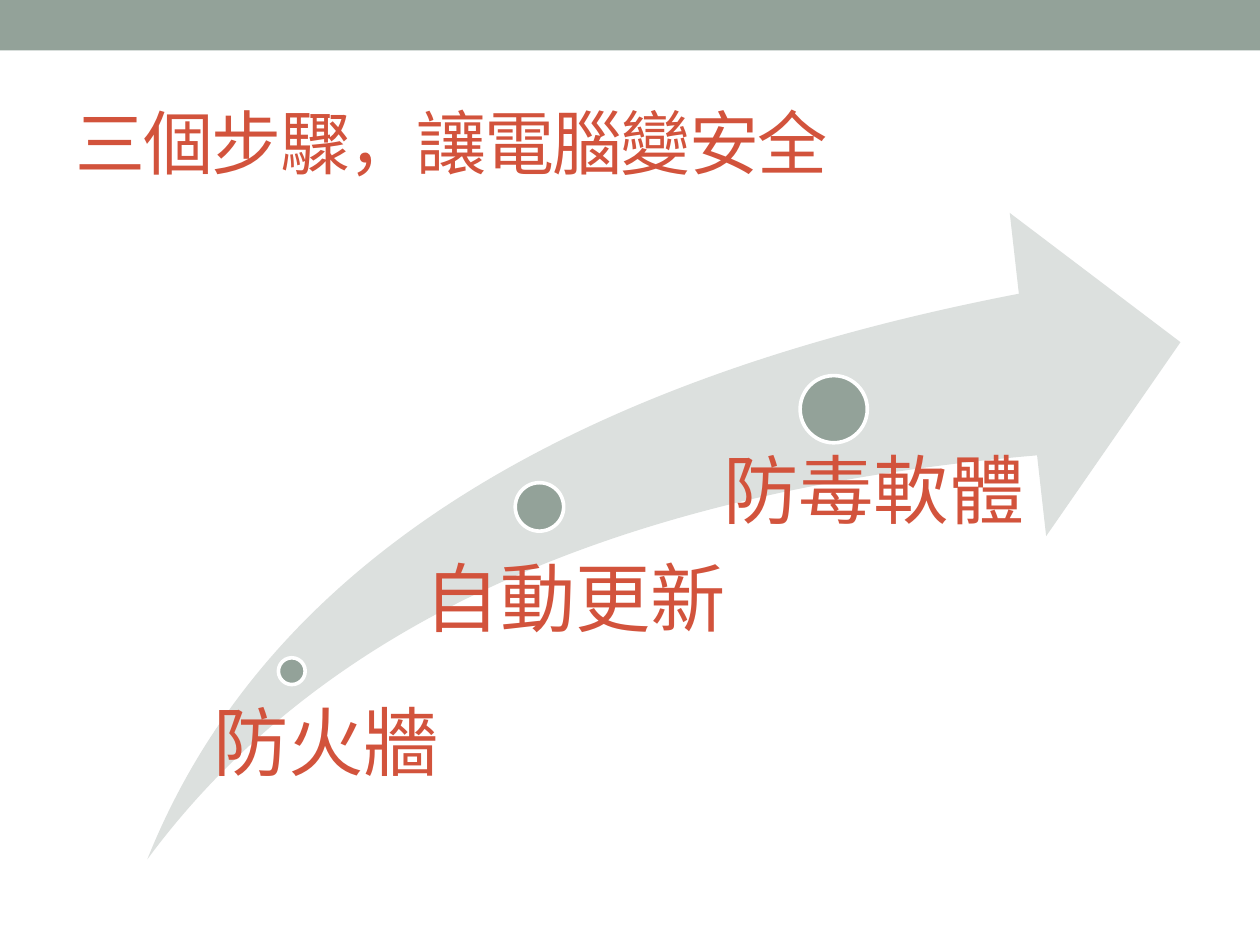
from pptx import Presentation
from pptx.dml.color import RGBColor
from pptx.enum.shapes import MSO_SHAPE as Shape
from pptx.enum.text import MSO_ANCHOR as Anchor, MSO_AUTO_SIZE as AutoSize, PP_ALIGN as Align
from pptx.util import Pt

SAGE, PALE, RED, WHITE = "93A299", "DCE0DE", "D2533C", "FFFFFF"
FONT = "Arial"
STEPS = [
    ("防火牆", (74.9, 254.2, 15.3), (29.5, 281.5, 137.5, 82.8)),
    ("自動更新", (210.2, 154.1, 27.7), (144, 199.4, 189.4, 123.1)),
    ("防毒軟體", (373, 92.9, 38.4), (308.9, 137.5, 249.1, 100.8)),
]


def color(value):
    return RGBColor.from_string(value)


def add_shape(shapes, kind, box, fill, outline=None):
    shape = shapes.add_shape(kind, *map(Pt, box))
    shape.shadow.inherit = False
    shape.fill.solid()
    shape.fill.fore_color.rgb = color(fill)
    if outline:
        shape.line.color.rgb = color(outline)
        shape.line.width = Pt(2.08)
    else:
        shape.line.fill.background()
    return shape


def add_span(para, text, size):
    span = para.add_run()
    span.text = text
    span.font.name = FONT
    span.font.size = Pt(size)
    span.font.color.rgb = color(RED)
    return span


def set_title(page, box, text):
    title = page.shapes.title
    title.left, title.top, title.width, title.height = map(Pt, box)
    frame = title.text_frame
    frame.auto_size = AutoSize.NONE
    frame.vertical_anchor = Anchor.MIDDLE
    para = frame.paragraphs[0]
    para.alignment = Align.LEFT
    span = add_span(para, text, 40)
    span.font._element.set("spc", "-100")


def add_label(shapes, box, text, indent):
    label = shapes.add_textbox(*map(Pt, box))
    frame = label.text_frame
    frame.word_wrap = True
    frame.margin_left = Pt(indent)
    frame.margin_top = frame.margin_right = frame.margin_bottom = 0
    para = frame.paragraphs[0]
    para.line_spacing = 0.9
    add_span(para, text, 43)


def add_steps(page, box, steps):
    left, top, width, height = box
    shapes = page.shapes.add_group_shape().shapes
    arrow = add_shape(shapes, Shape.SWOOSH_ARROW, box, PALE)
    arrow.adjustments[0] = 0.25
    arrow.adjustments[1] = 0.25
    for text, (dot_x, dot_y, size), (label_x, label_y, label_w, label_h) in steps:
        dot_box = (left + dot_x, top + dot_y, size, size)
        add_shape(shapes, Shape.OVAL, dot_box, SAGE, WHITE)
        label_box = (left + label_x, top + label_y, label_w, label_h)
        add_label(shapes, label_box, text, 0.53 * size)


def main():
    deck = Presentation()
    deck.slide_width, deck.slide_height = Pt(720), Pt(540)
    page = deck.slides.add_slide(deck.slide_layouts[5])
    add_shape(page.shapes, Shape.RECTANGLE, (0, 0, 720, 28.8), SAGE)
    set_title(page, (36, 41.8, 648, 77.8), "三個步驟，讓電腦變安全")
    add_steps(page, (84.2, 121.7, 590.4, 369.4), STEPS)
    deck.save("out.pptx")


if __name__ == "__main__":
    main()
